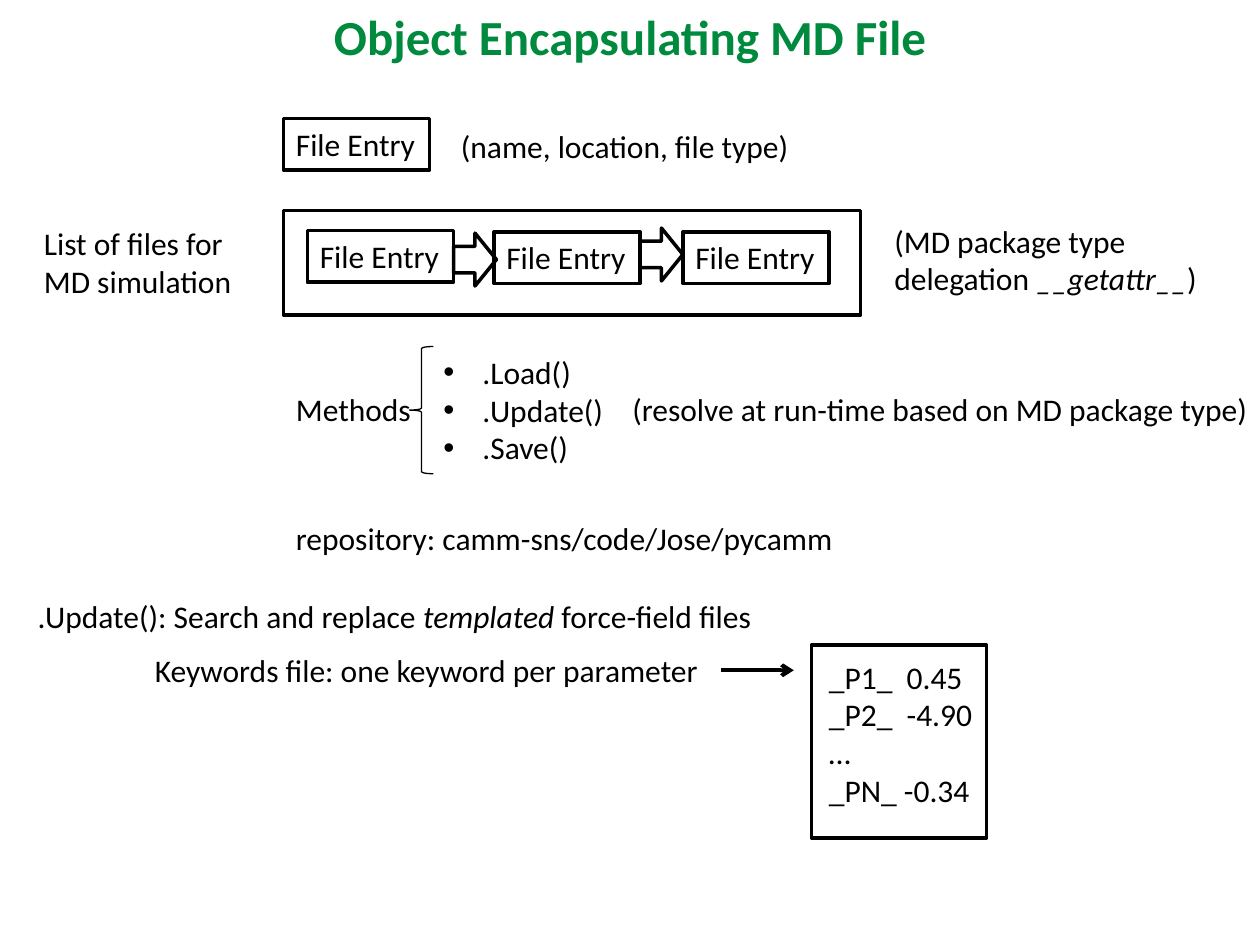
from lxml.etree import SubElement
from pptx import Presentation
from pptx.dml.color import RGBColor
from pptx.enum.shapes import MSO_CONNECTOR, MSO_SHAPE as SHAPE
from pptx.enum.text import MSO_AUTO_SIZE, PP_ALIGN
from pptx.oxml.ns import qn
from pptx.util import Inches, Pt

BLACK, GREEN = "000000", "008A3E"


def color(value):
    return RGBColor.from_string(value)


class Diagram:
    """Holds the text style and the slide being drawn."""
    font, size = "Calibri", 18

    def __init__(self, slide):
        self.slide = slide

    def text(self, box, *lines, wrap=False, size=None, fill=BLACK,
             bold=False, align=None, bullets=False):
        """Add one paragraph per line; asterisks enclose italic words."""
        shape = self.slide.shapes.add_textbox(*map(Inches, box))
        frame = shape.text_frame
        frame.word_wrap = wrap
        frame.auto_size = MSO_AUTO_SIZE.SHAPE_TO_FIT_TEXT
        for index, line in enumerate(lines):
            paragraph = frame.add_paragraph() if index else frame.paragraphs[0]
            paragraph.alignment = align
            font = paragraph.font
            font.name, font.size = self.font, Pt(size or self.size)
            font.bold = bold
            font.color.rgb = color(fill)
            for position, words in enumerate(line.split("*")):
                run = paragraph.add_run()
                run.text = words
                if position % 2:
                    run.font.italic = True
            if bullets:
                self.bullet(paragraph)

    def bullet(self, paragraph):
        properties = paragraph._p.get_or_add_pPr()
        properties.set("marL", str(Inches(0.31)))
        properties.set("indent", str(-Inches(0.31)))
        mark_font = SubElement(properties, qn("a:buFont"))
        mark_font.set("typeface", "Arial")
        mark = SubElement(properties, qn("a:buChar"))
        mark.set("char", "•")
        # Bullet settings come before the default run properties
        defaults = properties.find(qn("a:defRPr"))
        if defaults is not None:
            properties.append(defaults)

    def outline(self, kind, box, width=2):
        shape = self.slide.shapes.add_shape(kind, *map(Inches, box))
        shape.shadow.inherit = False
        shape.fill.background()
        shape.line.color.rgb = color(BLACK)
        shape.line.width = Pt(width)

    def file_entry(self, left, top):
        self.outline(SHAPE.FLOWCHART_PROCESS, (left, top, 1.16, 0.41))
        self.text((left, top, 1.16, 0.4), "File Entry")

    def arrow(self, start, end, width=2.25):
        connector = self.slide.shapes.add_connector(
            MSO_CONNECTOR.STRAIGHT, *map(Inches, start + end))
        connector.line.color.rgb = color(BLACK)
        connector.line.width = Pt(width)
        SubElement(connector.line._get_or_add_ln(),
                   qn("a:tailEnd")).set("type", "arrow")
        SubElement(connector._element.spPr, qn("a:effectLst"))


presentation = Presentation()
presentation.slide_width, presentation.slide_height = Inches(10), Inches(7.5)
diagram = Diagram(presentation.slides.add_slide(presentation.slide_layouts[6]))

# Title
diagram.text((0, 0, 10, 0.57), "Object Encapsulating MD File", wrap=True,
             size=28, fill=GREEN, bold=True, align=PP_ALIGN.CENTER)

# Single entry, then the chain of entries
for left, top in ((2.25, 0.94), (2.44, 1.83), (3.92, 1.84), (5.42, 1.84)):
    diagram.file_entry(left, top)
for left, top in ((3.6, 1.85), (5.08, 1.81)):
    diagram.outline(SHAPE.RIGHT_ARROW, (left, top, 0.34, 0.42))
diagram.outline(SHAPE.RECTANGLE, (2.25, 1.67, 4.58, 0.83))
diagram.text((3.56, 0.96, 2.84, 0.4), "(name, location, file type)")
diagram.text((0.25, 1.73, 1.93, 0.71), "List of files for MD simulation",
             wrap=True)
diagram.text((7, 1.71, 2.64, 0.71), "(MD package type",
             "delegation *__getattr__*)")

# Methods
diagram.text((2.25, 3.05, 1.63, 0.4), "Methods", wrap=True)
diagram.outline(SHAPE.LEFT_BRACE, (3.25, 2.75, 0.19, 1.01), width=0.75)
diagram.text((3.42, 2.75, 1.49, 1.01), ".Load()", ".Update()", ".Save()",
             bullets=True)
diagram.text((4.92, 3.05, 5.15, 0.4),
             "(resolve at run-time based on MD package type)")
diagram.text((2.25, 4.07, 4.51, 0.4), "repository: camm-sns/code/Jose/pycamm")

# Update step and its keywords file
diagram.text((0.2, 4.69, 5.94, 0.4),
             ".Update(): Search and replace *templated* force-field files")
diagram.text((1.13, 5.12, 4.58, 0.4),
             "Keywords file: one keyword per parameter", wrap=True)
diagram.arrow((5.72, 5.32), (6.3, 5.32))
diagram.outline(SHAPE.FLOWCHART_PROCESS, (6.44, 5.12, 1.39, 1.53))
diagram.text((6.48, 5.17, 1.35, 1.31),
             "_P1_  0.45", "_P2_  -4.90", "…", "_PN_ -0.34")

presentation.save("out.pptx")
